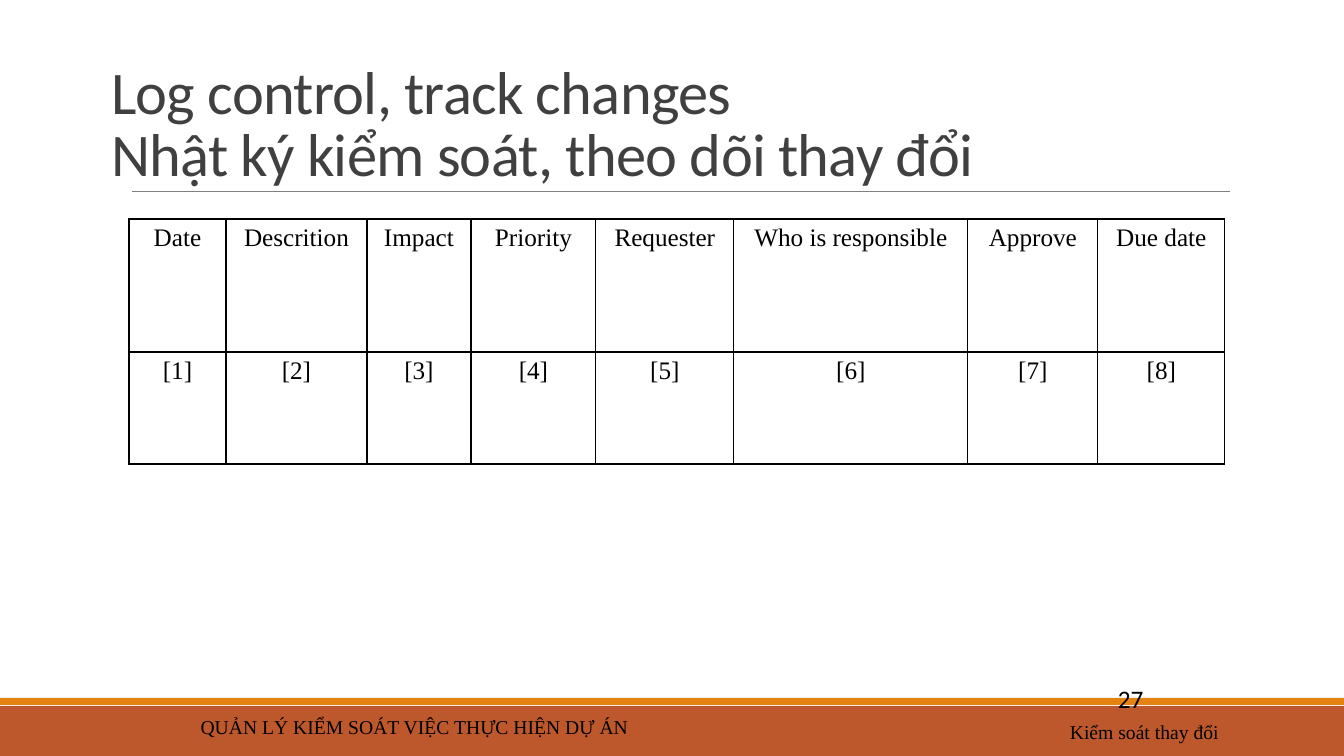
"""Build a slide with a change control log table."""
from lxml import etree
from pptx import Presentation, util as u
from pptx.dml.color import RGBColor
from pptx.enum import shapes, text as t
from pptx.oxml.ns import qn

BLACK = RGBColor(0, 0, 0)
WHITE = RGBColor(255, 255, 255)
DARK = RGBColor(0x40, 0x40, 0x40)
GRAY = RGBColor(0x80, 0x80, 0x80)
RUST = RGBColor(0xBD, 0x58, 0x2C)
AMBER = RGBColor(0xE4, 0x83, 0x12)
SERIF = "Times New Roman"
WIDE, HIGH = 1344, 756
HEADS = ["Date", "Descrition", "Impact", "Priority", "Requester",
         "Who is responsible", "Approve", "Due date"]
COLS = [97, 141, 104, 125, 138, 234, 130, 127]
ROWS = [133, 112]


def px(n):
    return u.Emu(round(n * u.Inches(1) / 100.8))


def box(*sides):
    return [px(n) for n in sides]


def write(frame, words, size=14, font=SERIF, color=BLACK, align=t.PP_ALIGN.LEFT,
          anchor=t.MSO_ANCHOR.MIDDLE, left=0, first=0, space=None, track=None):
    frame.word_wrap = True
    frame.vertical_anchor = anchor
    par = frame.paragraphs[0]
    par.text = words
    par.alignment = align
    par.line_spacing = space
    if left:
        props = par._p.get_or_add_pPr()
        props.set("marL", str(px(left)))
        props.set("indent", str(px(first)))
    for run in par.runs:
        run.font.size = u.Pt(size)
        run.font.name = font
        run.font.color.rgb = color
        if track:
            run._r.get_or_add_rPr().set("spc", str(track))


def band(slide, top, height, color):
    bar = slide.shapes.add_shape(shapes.MSO_SHAPE.RECTANGLE, *box(0, top, WIDE, height))
    bar.shadow.inherit = False
    bar.fill.solid()
    bar.fill.fore_color.rgb = color
    bar.line.fill.background()


def rule(slide, start, end, y):
    line = slide.shapes.add_connector(shapes.MSO_CONNECTOR.STRAIGHT, *box(start, y, end, y))
    line.line.color.rgb = GRAY
    line.line.width = u.Pt(0.5)
    etree.SubElement(line._element.spPr, qn("a:effectLst"))


def label(slide, words, sides, **style):
    note = slide.shapes.add_textbox(*box(*sides))
    write(note.text_frame, words, **style)


def border(cell):
    props = cell._tc.get_or_add_tcPr()
    for i, side in enumerate("LRTB"):
        edge = etree.Element(qn(f"a:ln{side}"), w=str(u.Pt(1)))
        fill = etree.SubElement(edge, qn("a:solidFill"))
        etree.SubElement(fill, qn("a:srgbClr"), val=str(BLACK))
        props.insert(i, edge)


def grid(slide, left, top):
    marks = [f"[{i}]" for i in range(1, len(HEADS) + 1)]
    table = slide.shapes.add_table(
        len(ROWS), len(COLS), *box(left, top, sum(COLS), sum(ROWS))).table
    for col, width in zip(table.columns, COLS):
        col.width = px(width)
    for r, (height, row) in enumerate(zip(ROWS, [HEADS, marks])):
        table.rows[r].height = px(height)
        for c, words in enumerate(row):
            cell = table.cell(r, c)
            cell.fill.solid()
            cell.fill.fore_color.rgb = WHITE
            border(cell)
            write(cell.text_frame, words, size=18, align=t.PP_ALIGN.CENTER,
                  anchor=t.MSO_ANCHOR.TOP, left=38, first=-38)


def main():
    deck = Presentation()
    deck.slide_width, deck.slide_height = box(WIDE, HIGH)
    slide = deck.slides.add_slide(deck.slide_layouts[5])
    band(slide, 706, 50, RUST)
    band(slide, 698, 7, AMBER)
    rule(slide, 132, 1230, 191)
    title = slide.shapes.title
    title.left, title.top, title.width, title.height = box(101, 68, 1187, 126)
    title.text_frame.auto_size = t.MSO_AUTO_SIZE.NONE
    write(title.text_frame, "Log control, track changes\vNhật ký kiểm soát, theo dõi thay đổi",
          size=43.2, font="Calibri", color=DARK, anchor=t.MSO_ANCHOR.BOTTOM,
          space=0.85, track=-50)
    grid(slide, 129, 219)
    label(slide, "Kiểm soát thay đổi", (1060, 711, 280, 42))
    label(slide, "QUẢN LÝ KIỂM SOÁT VIỆC THỰC HIỆN DỰ ÁN", (101, 702, 627, 50),
          align=t.PP_ALIGN.CENTER)
    label(slide, "27", (1058, 677, 280, 42), size=18, font="Calibri", left=50)
    deck.save("out.pptx")


if __name__ == "__main__":
    main()
